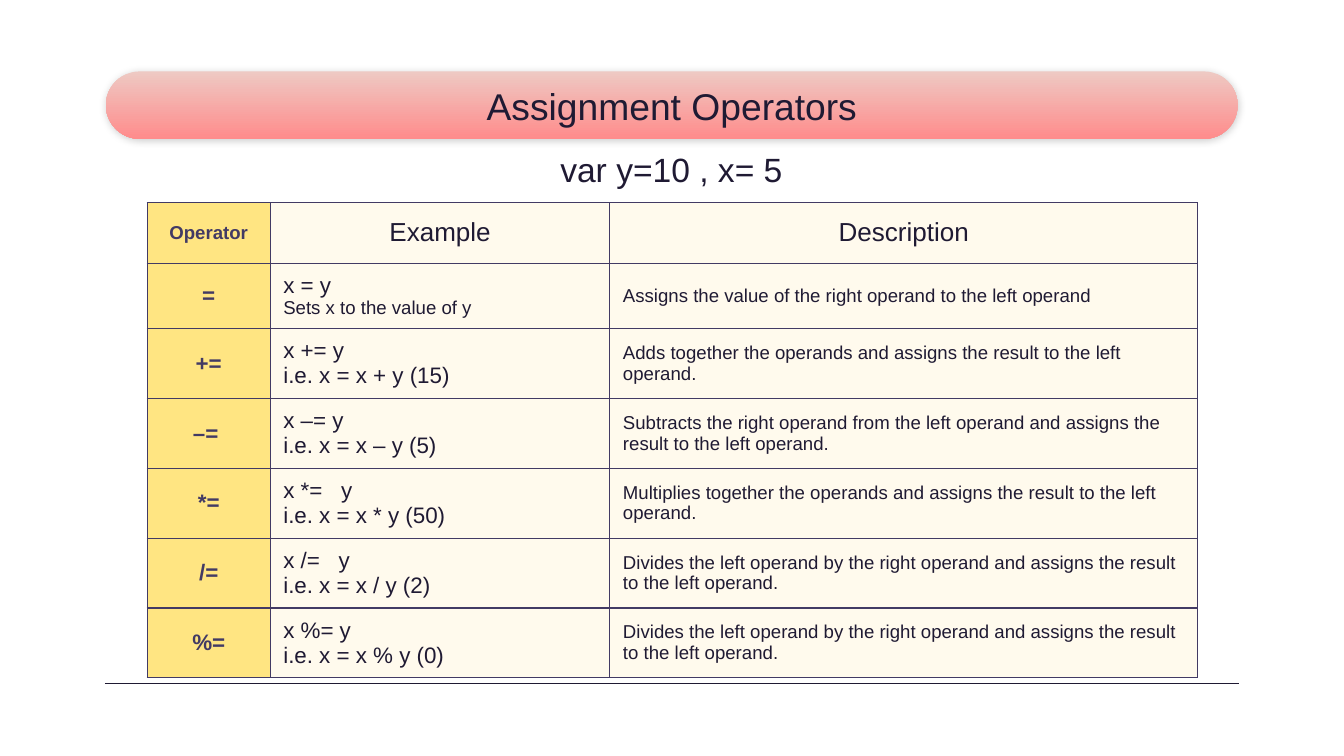
from lxml import etree
from pptx import Presentation
from pptx import util as u
from pptx.dml import color
from pptx.enum import shapes, text
from pptx.oxml import ns

COLORS = {
    "ink": "1F1A33",
    "border": "423A64",
    "operator": "FFE582",
    "cell": "FFFAED",
    "banner_top": "EEC9C3",
    "banner_bottom": "FF8C8C",
    "shadow": "000000",
}

COLUMN_WIDTHS = (3.1, 8.56, 14.81)
ROW_HEIGHTS = (1.52, 1.65) + (1.76,) * 5
HEADINGS = ("Operator", "Example", "Description")
DIVIDES = "Divides the left operand by the right operand and assigns the result to the left operand."
WIDE_GAP = (" ", {"tracking": 890})
OPERATORS = [
    ("=", ["x = y"], "Sets x to the value of y",
     "Assigns the value of the right operand to the left operand"),
    ("+=", ["x += y"], "i.e. x = x + y (15)",
     "Adds together the operands and assigns the result to the left operand."),
    ("–= ", ["x –= y"], "i.e. x = x – y (5)",
     "Subtracts the right operand from the left operand and assigns the result to the left operand."),
    ("*=", ["x *=", WIDE_GAP, "y"], "i.e. x = x * y (50)",
     "Multiplies together the operands and assigns the result to the left operand."),
    ("/=", ["x /=", WIDE_GAP, "y"], "i.e. x = x / y (2)", DIVIDES),
    ("%=", ["x %= y"], "i.e. x = x % y (0)", DIVIDES),
]


def rgb(name):
    return color.RGBColor.from_string(COLORS[name])


def apply(target, values):
    for name, value in values.items():
        setattr(target, name, value)


def child(parent, tag, **attributes):
    return etree.SubElement(parent, ns.qn(tag), attributes)


class SlideBuilder:
    font = "Arial"
    center = text.PP_ALIGN.CENTER
    left = text.PP_ALIGN.LEFT
    middle = text.MSO_ANCHOR.MIDDLE

    def __init__(self, deck):
        self.page = deck.slides.add_slide(deck.slide_layouts[5])

    def fill_para(self, para, spans, size, ink="ink", bold=False, align=None, before=0):
        apply(para, {"alignment": align or self.left, "space_before": u.Pt(before)})
        for item in spans:
            content, extra = (item, {}) if isinstance(item, str) else item
            span = para.add_run()
            span.text = content
            apply(span.font, {"name": self.font, "size": u.Pt(size), "bold": bold})
            span.font.color.rgb = rgb(ink)
            if "tracking" in extra:
                span._r.get_or_add_rPr().set("spc", str(extra["tracking"]))

    def banner(self, left, top, width, height):
        box = self.page.shapes.add_shape(
            shapes.MSO_SHAPE.ROUNDED_RECTANGLE, *map(u.Cm, (left, top, width, height)))
        box.adjustments[0] = 0.5
        box.line.fill.background()
        box.fill.gradient()
        box.fill.gradient_angle = 270
        for stop, name in zip(box.fill.gradient_stops, ("banner_top", "banner_bottom")):
            stop.color.rgb = rgb(name)
        box.shadow.inherit = False
        effects = box.element.spPr.find(ns.qn("a:effectLst"))
        shadow = child(effects, "a:outerShdw", blurRad=str(u.Pt(5.6)), dist=str(u.Pt(0.8)),
                       dir=str(66 * 60000), rotWithShape="0")
        tint = child(shadow, "a:srgbClr", val=COLORS["shadow"])
        child(tint, "a:alpha", val="20000")
        self.page.shapes.title.element.addprevious(box.element)

    def rule(self, left, right, top):
        line = self.page.shapes.add_connector(
            shapes.MSO_CONNECTOR.STRAIGHT, *map(u.Cm, (left, top, right, top)))
        line.line.color.rgb = rgb("ink")
        line.line.width = u.Pt(0.75)
        child(line.element.spPr, "a:effectLst")
        self.page.shapes.title.element.addprevious(line.element)

    def title(self, content, left, top, width, height):
        box = self.page.shapes.title
        apply(box, {"left": u.Cm(left), "top": u.Cm(top),
                    "width": u.Cm(width), "height": u.Cm(height)})
        inset = u.Cm(0.25)
        apply(box.text_frame, {
            "vertical_anchor": self.middle, "word_wrap": True,
            "auto_size": text.MSO_AUTO_SIZE.NONE,
            "margin_left": inset, "margin_right": inset,
            "margin_top": inset, "margin_bottom": inset})
        self.fill_para(box.text_frame.paragraphs[0], [content], 26.6, align=self.center)

    def label(self, content, left, top, width, height):
        box = self.page.shapes.add_textbox(*map(u.Cm, (left, top, width, height)))
        apply(box.text_frame, {"word_wrap": True,
                               "auto_size": text.MSO_AUTO_SIZE.SHAPE_TO_FIT_TEXT})
        self.fill_para(box.text_frame.paragraphs[0], [content], 24)

    def cell(self, cell, fill, lines):
        apply(cell, {"vertical_anchor": self.middle,
                     "margin_left": u.Cm(0.33), "margin_right": u.Cm(0.33),
                     "margin_top": u.Cm(0.18), "margin_bottom": u.Cm(0.18)})
        properties = cell._tc.get_or_add_tcPr()
        for side in "LRTB":
            border = child(properties, f"a:ln{side}", w=str(u.Pt(1)))
            child(child(border, "a:solidFill"), "a:srgbClr", val=COLORS["border"])
        cell.fill.solid()
        cell.fill.fore_color.rgb = rgb(fill)
        for index, (spans, style) in enumerate(lines):
            frame = cell.text_frame
            para = frame.add_paragraph() if index else frame.paragraphs[0]
            self.fill_para(para, spans, **style)

    def operator_table(self, left, top):
        table = self.page.shapes.add_table(
            len(ROW_HEIGHTS), len(COLUMN_WIDTHS), u.Cm(left), u.Cm(top),
            u.Cm(sum(COLUMN_WIDTHS)), u.Cm(sum(ROW_HEIGHTS))).table
        apply(table, {"first_row": False, "horz_banding": False})
        for column, width in zip(table.columns, COLUMN_WIDTHS):
            column.width = u.Cm(width)
        for row, height in zip(table.rows, ROW_HEIGHTS):
            row.height = u.Cm(height)
        key = {"ink": "border", "bold": True, "align": self.center}
        heading = {"size": 18.6, "align": self.center}
        rows = [[[([name], heading if index else {"size": 13.3, **key})]
                 for index, name in enumerate(HEADINGS)]]
        for operator, example, meaning, description in OPERATORS:
            meaning_size = 13.3 if operator == "=" else 16
            rows.append([
                [([operator], {"size": 16, **key})],
                [(example, {"size": 16}), ([meaning], {"size": meaning_size})],
                [([description], {"size": 13.3, "before": 3.6})],
            ])
        for row, contents in zip(table.rows, rows):
            for cell, fill, lines in zip(row.cells, ("operator", "cell", "cell"), contents):
                self.cell(cell, fill, lines)


def main():
    deck = Presentation()
    apply(deck, {"slide_width": u.Cm(33.87), "slide_height": u.Cm(19.05)})
    slide = SlideBuilder(deck)
    slide.banner(2.67, 1.8, 28.52, 1.7)
    slide.rule(2.64, 31.22, 17.22)
    slide.title("Assignment Operators", 8.38, 1.8, 17.12, 1.7)
    slide.operator_table(3.71, 5.11)
    slide.label("var y=10 , x= 5", 13.87, 3.63, 6.43, 1.27)
    deck.save("out.pptx")


if __name__ == "__main__":
    main()
